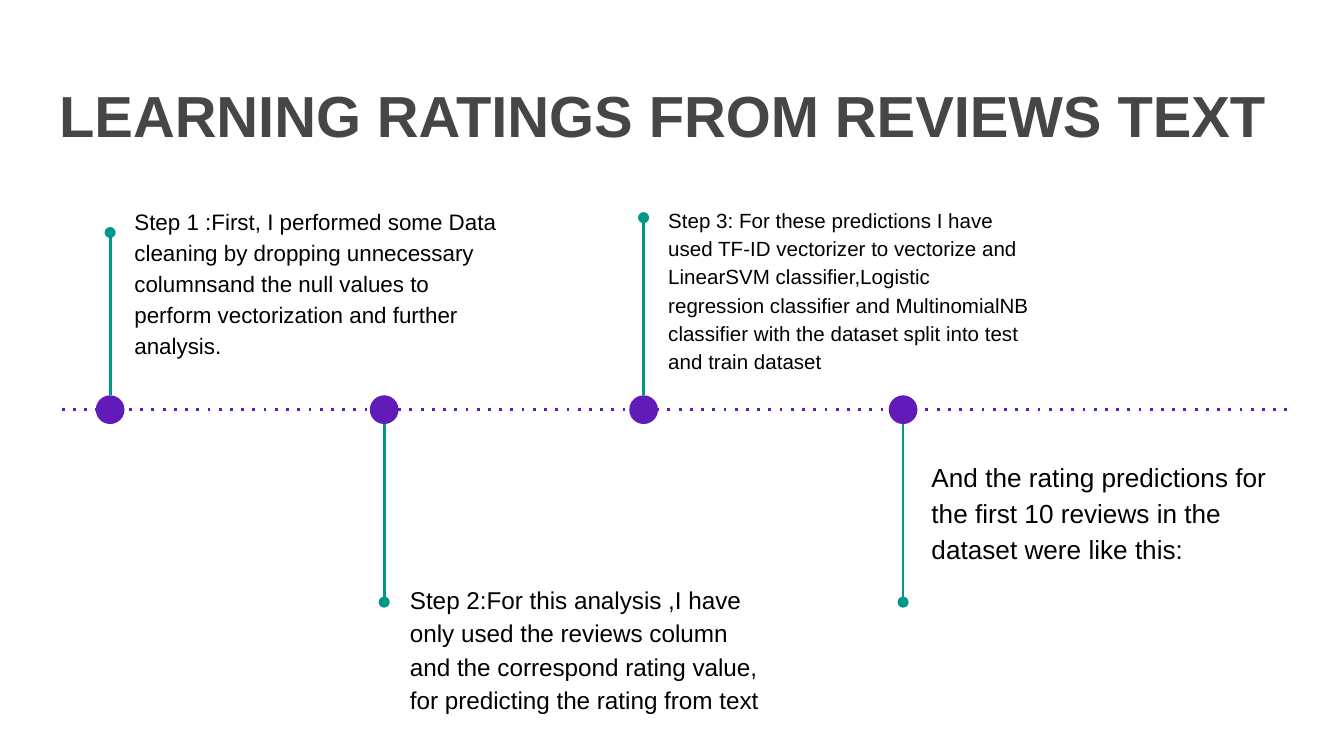
from pptx import Presentation
from pptx.dml.color import RGBColor
from pptx.enum.shapes import MSO_CONNECTOR, MSO_SHAPE
from pptx.enum.text import MSO_ANCHOR, MSO_AUTO_SIZE, PP_ALIGN
from pptx.oxml.ns import qn
from pptx.util import Pt
from lxml.etree import SubElement

COLORS = {"title": "464646", "text": "000000", "axis": "611BB8", "stem": "009688"}
AXIS_Y = 219.5
HUB = 15.4
STEPS = [
    (59, 124.6, 64.8, 102.2, 12,
     "Step 1 :First, I performed some Data cleaning by dropping unnecessary "
     "columnsand the null values to perform vectorization and further analysis."),
    (205.8, 322.6, 212.4, 303.8, 13,
     "Step 2:For this analysis ,I have only used the reviews column and the "
     "correspond rating value, for predicting the rating from text"),
    (344.8, 116.6, 350.8, 102.2, 11,
     "Step 3: For these predictions I have used TF-ID vectorizer to vectorize and "
     "LinearSVM classifier,Logistic regression classifier and MultinomialNB "
     "classifier with the dataset split into test and train dataset"),
    (483.8, 322.6, 491.8, 237.6, 14,
     "And the rating predictions for the first 10 reviews in the dataset were like this:"),
]


class TimelineSlide:
    font = "Arial"

    def __init__(self, deck):
        self.page = deck.slides.add_slide(deck.slide_layouts.get_by_name("Comparison"))

    def color(self, name):
        return RGBColor.from_string(COLORS[name])

    def text(self, box, words, place, size, color, bold=False, spacing=1.0):
        box.left, box.top, box.width, box.height = [Pt(length) for length in place]
        frame = box.text_frame
        frame.text = words
        frame.word_wrap = True
        frame.auto_size = MSO_AUTO_SIZE.NONE
        frame.vertical_anchor = MSO_ANCHOR.TOP
        frame.margin_left = frame.margin_right = Pt(7.2)
        frame.margin_top = frame.margin_bottom = Pt(7.2)
        para = frame.paragraphs[0]
        para.alignment = PP_ALIGN.LEFT
        para.line_spacing = spacing
        para.space_before = Pt(0)
        properties = para._p.get_or_add_pPr()
        properties.set("marL", "0")
        properties.set("indent", "0")
        SubElement(properties, qn("a:buNone"))
        span = para.runs[0]
        span.font.name = self.font
        span.font.size = Pt(size)
        span.font.bold = bold
        span.font.color.rgb = self.color(color)

    def line(self, shapes, start, end, color, dash=None, tail=None):
        line = shapes.add_connector(
            MSO_CONNECTOR.STRAIGHT, *[Pt(length) for length in (*start, *end)])
        line.line.width = Pt(1.5)
        line.line.color.rgb = self.color(color)
        outline = line.line._get_or_add_ln()
        if dash:
            SubElement(outline, qn("a:prstDash"), val=dash)
        if tail:
            SubElement(outline, qn("a:tailEnd"), type=tail)
        SubElement(line._element.spPr, qn("a:effectLst"))

    def marker(self, x, end_y):
        shapes = self.page.shapes.add_group_shape().shapes
        edge = HUB / 2 if end_y > AXIS_Y else -HUB / 2
        self.line(shapes, (x, AXIS_Y + edge), (x, end_y), "stem", tail="oval")
        hub = shapes.add_shape(MSO_SHAPE.OVAL, Pt(x - HUB / 2), Pt(AXIS_Y - HUB / 2),
                               Pt(HUB), Pt(HUB))
        hub.shadow.inherit = False
        hub.fill.solid()
        hub.fill.fore_color.rgb = self.color("axis")
        hub.line.fill.background()


def main():
    deck = Presentation()
    deck.slide_width, deck.slide_height = Pt(720), Pt(405)
    slide = TimelineSlide(deck)
    title, *bodies = slide.page.placeholders
    slide.text(title, "LEARNING RATINGS FROM REVIEWS TEXT",
               (24.5, 35.3, 671, 49), 31, "title", bold=True)
    slide.line(slide.page.shapes, (33.1, AXIS_Y), (689.8, AXIS_Y), "axis", dash="dot")
    for box, (x, end_y, left, top, size, words) in zip(bodies, STEPS):
        slide.marker(x, end_y)
        slide.text(box, words, (left, top, 209.5, 76.3), size, "text", spacing=1.15)
    deck.save("out.pptx")


if __name__ == "__main__":
    main()
